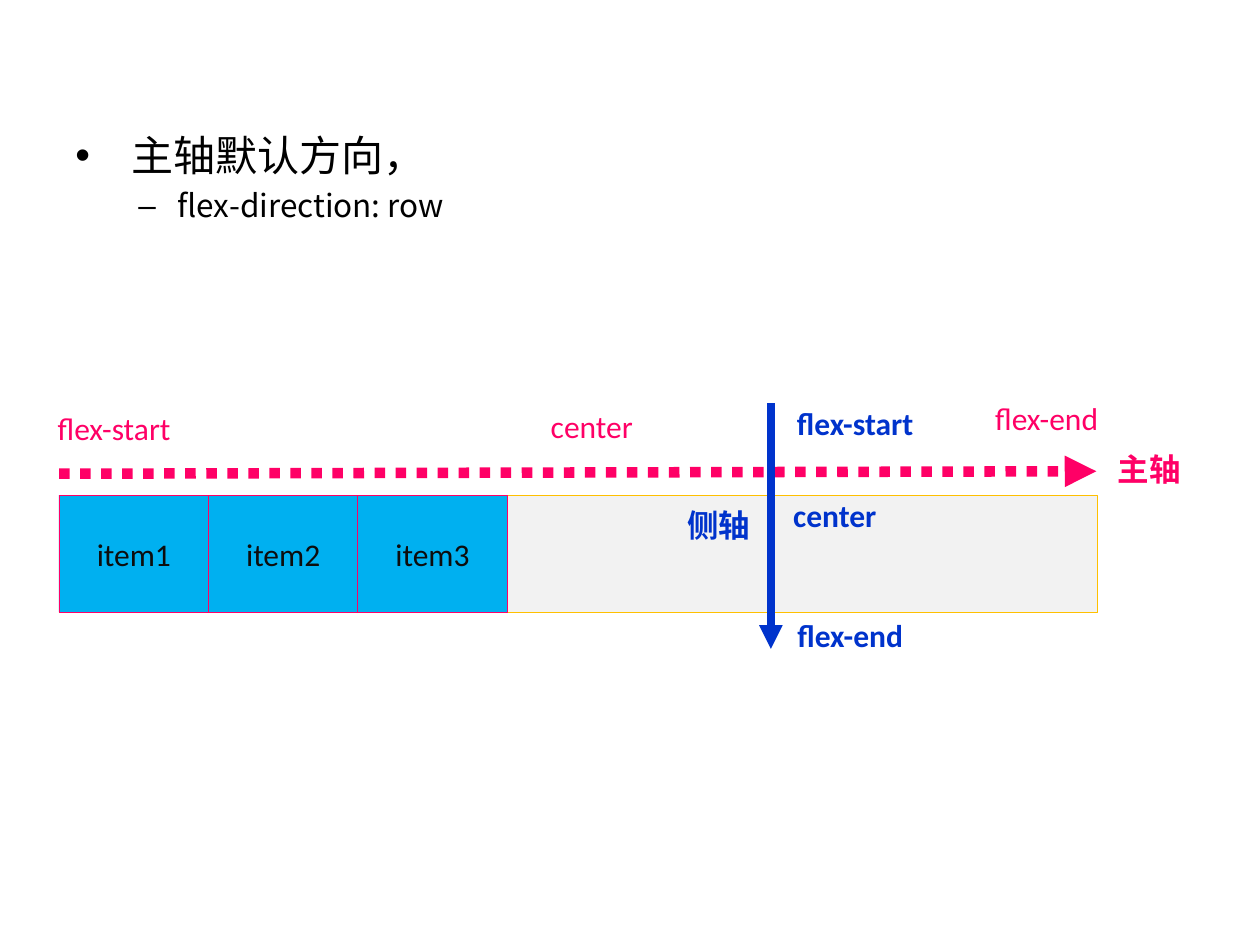
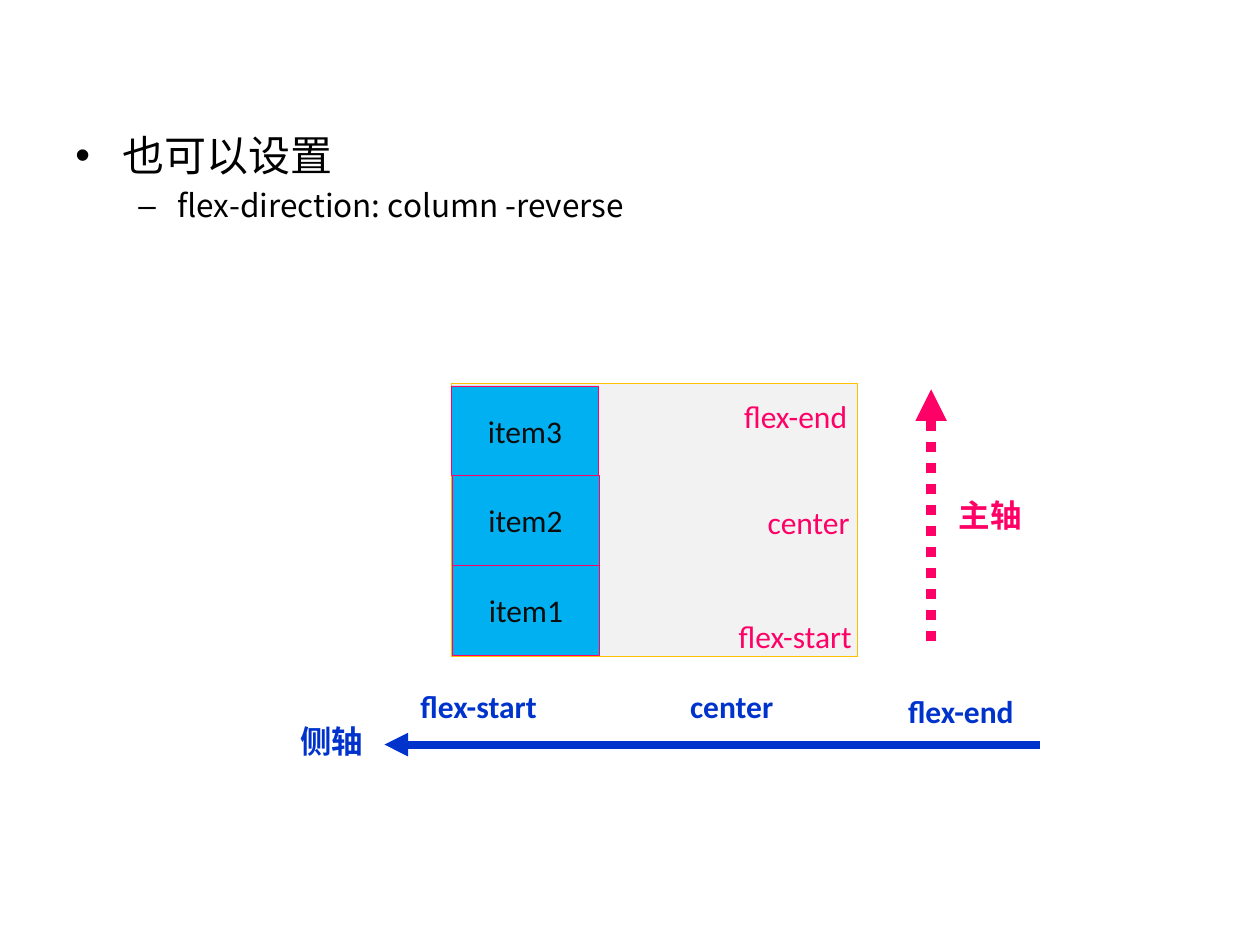
"""Build two slides on the main and cross axes of a flex container."""
from dataclasses import dataclass

from lxml import etree
from pptx import Presentation
from pptx import util as u
from pptx.dml import color as clr
from pptx.enum import dml, shapes, text
from pptx.oxml import ns

COLORS = {
    "black": "000000", "item_text": "0D0D0D", "item": "00B0F0",
    "container": "F2F2F2", "border": "FFC000", "main": "FF0066", "cross": "0033CC",
}
LATIN, CJK = "Calibri", "Noto Sans CJK SC"
LABEL_W, NAME_W, LABEL_H = 4.0, 2.26, 1.02
Point = tuple[float, float]
Box = tuple[float, float, float, float]


@dataclass(frozen=True)
class Bullet:
    """Format of one bullet level."""
    char: str
    size: float
    left: float
    hang: float


@dataclass(frozen=True)
class Axis:
    """An arrow, its name and the labels along it."""
    name: str
    name_at: Point
    start: Point
    end: Point
    labels: dict[str, Point]


@dataclass(frozen=True)
class Flex:
    """A slide that shows one flex direction."""
    body: Box
    lines: tuple[str, str]
    container: Box
    item: Box
    step: Point
    main: Axis
    cross: Axis


BULLETS = (Bullet("•", 24, 0.95, 0.95), Bullet("–", 18, 2.06, 0.79))
SLIDES = (
    Flex(
        body=(1.27, 2.49, 22.86, 4.27),
        lines=(" 主轴默认方向，", "flex-direction: row"),
        container=(1.19, 9.98, 20.93, 2.36),
        item=(1.19, 9.98, 3.02, 2.36), step=(3.01, 0),
        main=Axis("主轴", (22.28, 8.94), (1.19, 9.55), (22.1, 9.5),
                  {"flex-start": (0.3, 8.13), "flex-end": (19.1, 7.92), "center": (9.93, 8.08)}),
        cross=Axis("侧轴", (13.36, 10.08), (15.54, 8.13), (15.54, 13.08),
                   {"flex-start": (15.24, 8.03), "center": (14.83, 9.88), "flex-end": (15.14, 12.29)}),
    ),
    Flex(
        body=(1.27, 2.49, 12.62, 15.8),
        lines=("也可以设置", "flex-direction: column -reverse"),
        container=(9.09, 7.72, 8.2, 5.51),
        item=(9.12, 11.4, 2.97, 1.8), step=(-0.01, -1.81),
        main=Axis("主轴", (19.08, 9.88), (18.77, 12.93), (18.77, 7.85),
                  {"flex-start": (14.03, 12.32), "flex-end": (14.04, 7.87), "center": (14.3, 10.01)}),
        cross=Axis("侧轴", (5.56, 14.43), (20.96, 15.01), (7.75, 15.01),
                   {"flex-start": (7.65, 13.72), "center": (12.75, 13.72), "flex-end": (17.37, 13.82)}),
    ),
)


def rgb(name: str) -> clr.RGBColor:
    """Look up a named colour."""
    return clr.RGBColor.from_string(COLORS[name])


def cm(values: tuple[float, ...]) -> list[u.Length]:
    """Turn numbers into centimetre lengths."""
    return [u.Cm(v) for v in values]


def write(p, content: str, *, color: str, size: float = 18, font: str = LATIN,
          bold: bool = False, align=None) -> None:
    """Add one formatted run to a paragraph."""
    p.alignment = align
    r = p.add_run()
    r.text = content
    r.font.size, r.font.bold, r.font.name = u.Pt(size), bold, font
    r.font.color.rgb = rgb(color)
    etree.SubElement(r.font._element, ns.qn("a:ea"), typeface=font)


def add_body(s, box: Box, lines: tuple[str, str]) -> None:
    """Add the bulleted text."""
    tf = s.shapes.add_textbox(*cm(box)).text_frame
    tf.word_wrap = True
    for level, (line, b) in enumerate(zip(lines, BULLETS)):
        p = tf.add_paragraph() if level else tf.paragraphs[0]
        p.level = level
        p.space_before = u.Pt(b.size * 0.2)
        pr = p._p.get_or_add_pPr()
        pr.set("marL", str(u.Cm(b.left)))
        pr.set("indent", str(-u.Cm(b.hang)))
        etree.SubElement(pr, ns.qn("a:buFont"), typeface="Arial")
        etree.SubElement(pr, ns.qn("a:buChar"), char=b.char)
        write(p, line, color="black", size=b.size, font=CJK)


def add_box(group, box: Box, fill: str, line: str, label: str = "") -> None:
    """Add a filled box with an optional centred label."""
    sp = group.shapes.add_shape(shapes.MSO_SHAPE.ROUNDED_RECTANGLE, *cm(box))
    sp.adjustments[0] = 0
    sp.shadow.inherit = False
    sp.fill.solid()
    sp.fill.fore_color.rgb = rgb(fill)
    sp.line.color.rgb = rgb(line)
    sp.line.width = u.Pt(0.25)
    if label:
        tf = sp.text_frame
        tf.vertical_anchor = text.MSO_ANCHOR.MIDDLE
        write(tf.paragraphs[0], label, color="item_text", align=text.PP_ALIGN.CENTER)


def add_label(group, at: Point, width: float, content: str, **fmt) -> None:
    """Add a text box that grows with its text."""
    tf = group.shapes.add_textbox(*cm((*at, width, LABEL_H))).text_frame
    tf.word_wrap = True
    tf.auto_size = text.MSO_AUTO_SIZE.SHAPE_TO_FIT_TEXT
    write(tf.paragraphs[0], content, **fmt)


def add_axis(group, axis: Axis, color: str, *, width: float, dash=None,
             bold: bool = False, name_align=None) -> None:
    """Add an axis arrow with its labels and name."""
    c = group.shapes.add_connector(shapes.MSO_CONNECTOR.STRAIGHT, *cm(axis.start + axis.end))
    c.line.color.rgb = rgb(color)
    c.line.width = u.Pt(width)
    if dash:
        c.line.dash_style = dash
    pr = c.element.spPr
    etree.SubElement(pr.find(ns.qn("a:ln")), ns.qn("a:tailEnd"), type="triangle")
    etree.SubElement(pr, ns.qn("a:effectLst"))
    for label, at in axis.labels.items():
        add_label(group, at, LABEL_W, label, color=color, bold=bold, align=text.PP_ALIGN.CENTER)
    add_label(group, axis.name_at, NAME_W, axis.name, color=color, font=CJK, bold=True,
              align=name_align)


def add_flex(prs, flex: Flex) -> None:
    """Add one slide with its container, items and axes."""
    s = prs.slides.add_slide(prs.slide_layouts[6])
    add_body(s, flex.body, flex.lines)
    group = s.shapes.add_group_shape()
    add_box(group, flex.container, "container", "border")
    x, y, w, h = flex.item
    dx, dy = flex.step
    for i in range(3):
        add_box(group, (x + i * dx, y + i * dy, w, h), "item", "main", f"item{i + 1}")
    add_axis(group, flex.main, "main", width=6, dash=dml.MSO_LINE.ROUND_DOT)
    add_axis(s.shapes.add_group_shape(), flex.cross, "cross", width=4.5, bold=True,
             name_align=text.PP_ALIGN.CENTER)


def main() -> None:
    """Build and save the presentation."""
    prs = Presentation()
    prs.slide_width, prs.slide_height = cm((25.4, 19.05))
    for flex in SLIDES:
        add_flex(prs, flex)
    prs.save("out.pptx")


if __name__ == "__main__":
    main()
